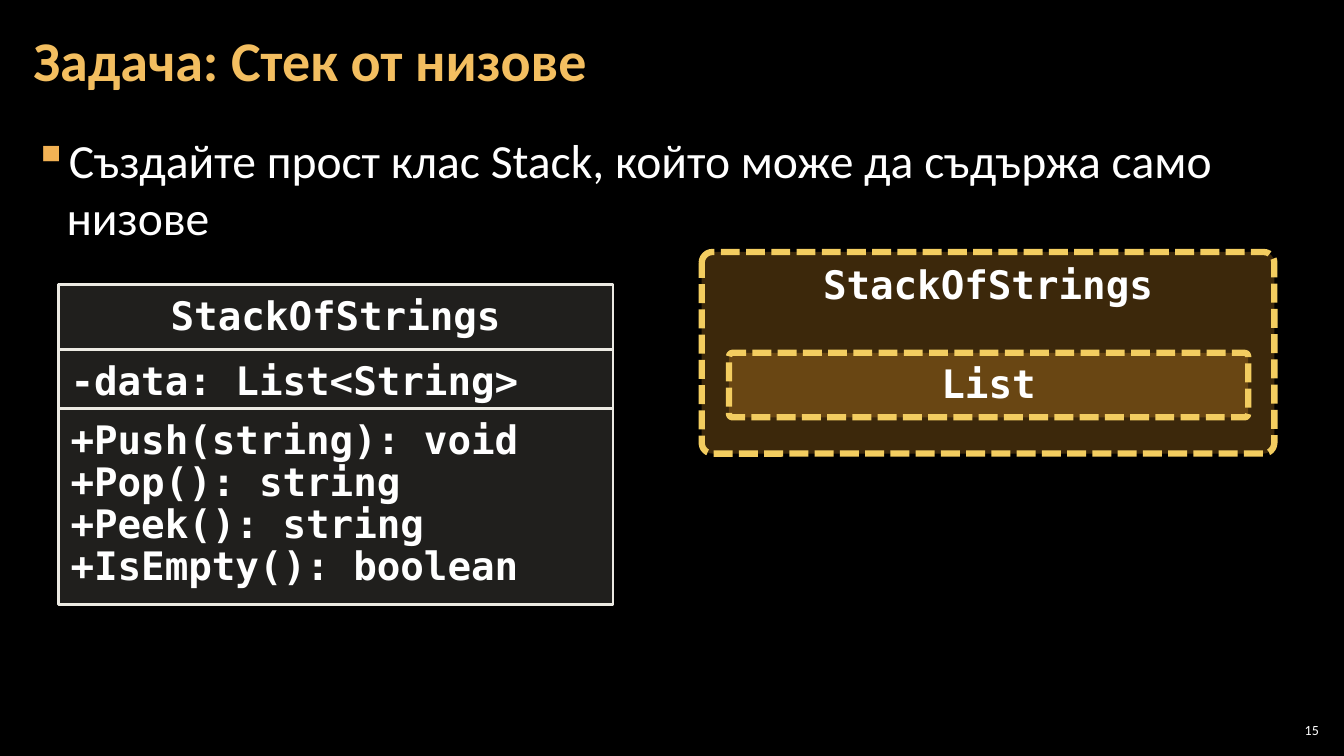
from dataclasses import dataclass

from lxml.etree import SubElement
from pptx import Presentation
from pptx.dml.color import RGBColor
from pptx.enum.dml import MSO_LINE
from pptx.enum.shapes import MSO_SHAPE
from pptx.enum.text import MSO_ANCHOR, PP_ALIGN
from pptx.oxml.ns import qn
from pptx.shapes.base import BaseShape
from pptx.slide import Slide
from pptx.util import Inches, Pt

WIDTH, HEIGHT = Inches(13.33), Inches(7.5)
BLACK = RGBColor(0x00, 0x00, 0x00)
WHITE = RGBColor(0xFF, 0xFF, 0xFF)
TITLE_GOLD = RGBColor(0xF3, 0xBE, 0x60)
BULLET_GOLD = RGBColor(0xF2, 0xB2, 0x54)
DASH_GOLD = RGBColor(0xF3, 0xCD, 0x60)
AMBER = RGBColor(0xF0, 0xA2, 0x2E)
SAND = RGBColor(0xD9, 0xD5, 0xC7)
IVORY = RGBColor(0xEC, 0xEA, 0xE3)
BODY_FONT, CODE_FONT = "Calibri", "DejaVu Sans Mono"


@dataclass(frozen=True)
class Area:
    """A rectangle in percent of the slide's width and height."""
    x: float
    y: float
    w: float
    h: float

    def box(self) -> tuple[int, int, int, int]:
        return (int(WIDTH * self.x / 100), int(HEIGHT * self.y / 100),
                int(WIDTH * self.w / 100), int(HEIGHT * self.h / 100))


@dataclass(frozen=True)
class TextStyle:
    size: float
    font: str = BODY_FONT
    color: RGBColor = WHITE
    bold: bool = False
    align: PP_ALIGN = PP_ALIGN.LEFT
    anchor: MSO_ANCHOR = MSO_ANCHOR.TOP
    spacing: float | None = None
    inset: tuple[float, float] = (0.12, 0.04)


@dataclass(frozen=True)
class PanelStyle:
    preset: MSO_SHAPE
    fill: RGBColor
    opacity: int
    line: RGBColor
    line_width: float
    dash: MSO_LINE | None = None
    corner: float | None = None


@dataclass(frozen=True)
class UmlRow:
    height: float
    lines: tuple[str, ...]
    align: PP_ALIGN = PP_ALIGN.LEFT


@dataclass(frozen=True)
class StackBox:
    area: Area
    label: str


TITLE = TextStyle(40, color=TITLE_GOLD, bold=True, anchor=MSO_ANCHOR.MIDDLE, spacing=40)
TASK = TextStyle(34)
NUMBER = TextStyle(10, align=PP_ALIGN.RIGHT, anchor=MSO_ANCHOR.MIDDLE, inset=(0.04, 0.04))
BOX_LABEL = TextStyle(28, CODE_FONT, bold=True, align=PP_ALIGN.CENTER, inset=(0.1, 0.05))

UML_PANEL = PanelStyle(MSO_SHAPE.RECTANGLE, SAND, 15, IVORY, 2)
STACK_PANEL = PanelStyle(MSO_SHAPE.ROUNDED_RECTANGLE, AMBER, 25, DASH_GOLD, 4.5,
                         MSO_LINE.SQUARE_DOT, 0.054)

UML_LEFT, UML_TOP, UML_WIDTH = 4.35, 37.6, 41.26
UML_ROWS = (
    UmlRow(8.6, ("StackOfStrings",), PP_ALIGN.CENTER),
    UmlRow(7.87, ("-data: List<String>",)),
    UmlRow(25.87, ("+Push(string): void", "+Pop(): string",
                   "+Peek(): string", "+IsEmpty(): boolean")),
)
STACK_BOXES = (
    StackBox(Area(52.21, 33.33, 42.61, 26.67), "StackOfStrings"),
    StackBox(Area(54.24, 46.67, 38.63, 8.53), "List"),
)


def write(sp: BaseShape, lines: tuple[str, ...], style: TextStyle) -> None:
    tf = sp.text_frame
    tf.word_wrap = True
    tf.vertical_anchor = style.anchor
    tf.margin_left = tf.margin_right = Inches(style.inset[0])
    tf.margin_top = tf.margin_bottom = Inches(style.inset[1])
    for i, line in enumerate(lines):
        p = tf.add_paragraph() if i else tf.paragraphs[0]
        p.alignment = style.align
        if style.spacing:
            p.line_spacing = Pt(style.spacing)
        r = p.add_run()
        r.text = line
        r.font.name = style.font
        r.font.size = Pt(style.size)
        r.font.bold = style.bold
        r.font.color.rgb = style.color


def add_text(s: Slide, area: Area, text: str, style: TextStyle) -> BaseShape:
    sp = s.shapes.add_textbox(*area.box())
    write(sp, (text,), style)
    return sp


def add_bullet(sp: BaseShape) -> None:
    """Hang the first paragraph on a coloured square bullet."""
    pPr = sp.text_frame.paragraphs[0]._p.get_or_add_pPr()
    pPr.set("marL", str(Inches(0.33)))
    pPr.set("indent", str(-Inches(0.33)))
    color = SubElement(pPr, qn("a:buClr"))
    SubElement(color, qn("a:srgbClr"), val=str(BULLET_GOLD))
    SubElement(pPr, qn("a:buChar"), char="▪")


def add_panel(s: Slide, area: Area, lines: tuple[str, ...],
              panel: PanelStyle, style: TextStyle) -> None:
    sp = s.shapes.add_shape(panel.preset, *area.box())
    sp.shadow.inherit = False
    if panel.corner is not None:
        sp.adjustments[0] = panel.corner
    sp.fill.solid()
    sp.fill.fore_color.rgb = panel.fill
    color = sp._element.spPr.find(qn("a:solidFill")).find(qn("a:srgbClr"))
    SubElement(color, qn("a:alpha"), val=str(panel.opacity * 1000))
    sp.line.color.rgb = panel.line
    sp.line.width = Pt(panel.line_width)
    if panel.dash is not None:
        sp.line.dash_style = panel.dash
        dash = sp.line._ln.find(qn("a:prstDash"))
        dash.set("val", "sysDash")
    write(sp, lines, style)


def add_uml_class(s: Slide) -> None:
    top = UML_TOP
    for row in UML_ROWS:
        style = TextStyle(28, CODE_FONT, bold=True, align=row.align,
                          spacing=30, inset=(0.12, 0.12))
        add_panel(s, Area(UML_LEFT, top, UML_WIDTH, row.height), row.lines, UML_PANEL, style)
        top += row.height


def main() -> None:
    prs = Presentation()
    prs.slide_width, prs.slide_height = WIDTH, HEIGHT
    s = prs.slides.add_slide(prs.slide_layouts[6])
    s.background.fill.solid()
    s.background.fill.fore_color.rgb = BLACK

    task = add_text(s, Area(1.58, 16.8, 96.85, 81.2),
                    "Създайте прост клас Stack, който може да съдържа само низове", TASK)
    add_bullet(task)
    add_text(s, Area(1.58, 0.53, 96.85, 16.13), "Задача: Стек от низове", TITLE)
    add_uml_class(s)
    for box in STACK_BOXES:
        add_panel(s, box.area, (box.label,), STACK_PANEL, BOX_LABEL)
    add_text(s, Area(94.9, 95.2, 3.53, 2.8), "15", NUMBER)
    prs.save("out.pptx")


if __name__ == "__main__":
    main()
